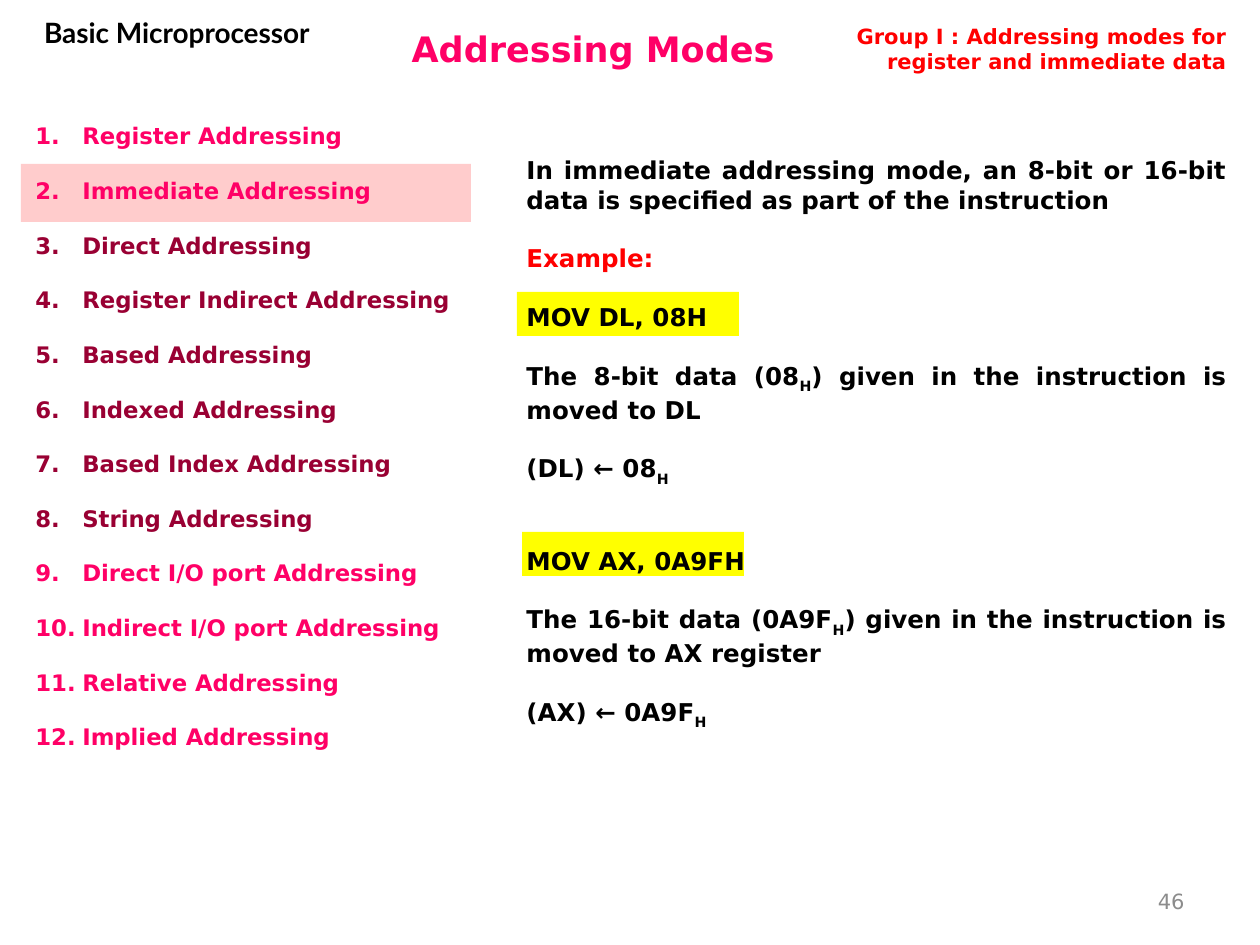
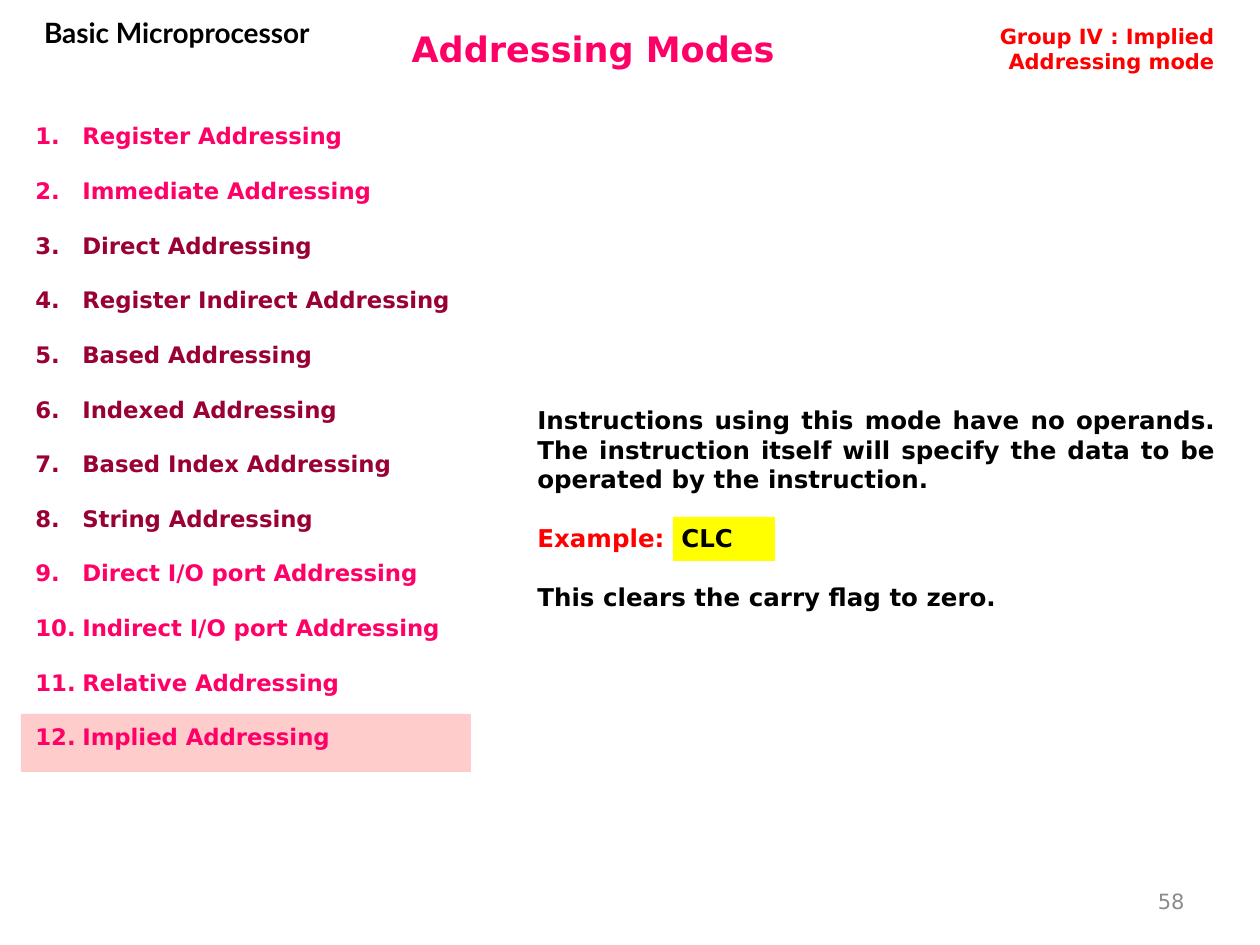
from lxml import etree
from pptx import Presentation
from pptx.dml.color import RGBColor
from pptx.enum.shapes import MSO_SHAPE
from pptx.enum.text import MSO_ANCHOR, MSO_AUTO_SIZE, PP_ALIGN
from pptx.oxml.ns import qn
from pptx.util import Pt

RECTANGLE = MSO_SHAPE.RECTANGLE
LEFT, CENTER, RIGHT, JUSTIFY = PP_ALIGN.LEFT, PP_ALIGN.CENTER, PP_ALIGN.RIGHT, PP_ALIGN.JUSTIFY
TOP, MIDDLE = MSO_ANCHOR.TOP, MSO_ANCHOR.MIDDLE
NO_AUTOFIT = MSO_AUTO_SIZE.NONE
TITLE_ONLY = 5
PX = 914400 / 126

COLORS = {
    "pink": "FF0066",
    "maroon": "990033",
    "red": "FF0000",
    "black": "000000",
    "gray": "8C8C8C",
    "yellow": "FFFF00",
    "band": "FFCCCC",
}
FONT, HEADER_FONT = "DejaVu Sans", "Lato"
LIST_GAP, BODY_GAP = 15.6, 16.8
LIST_INDENT = 47
EXAMPLE_TAB = 144
BAND_PITCH = 55

MODES = [
    ("Register Addressing", "pink"),
    ("Immediate Addressing", "pink"),
    ("Direct Addressing", "maroon"),
    ("Register Indirect Addressing", "maroon"),
    ("Based Addressing", "maroon"),
    ("Indexed Addressing", "maroon"),
    ("Based Index Addressing", "maroon"),
    ("String Addressing", "maroon"),
    ("Direct I/O port Addressing", "pink"),
    ("Indirect I/O port Addressing", "pink"),
    ("Relative Addressing", "pink"),
    ("Implied Addressing", "pink"),
]

SLIDES = [
    {
        "number": "46",
        "mode": 2,
        "group": "Group I : Addressing modes for register and immediate data",
        "group_box": (822, 17, 417, 63),
        "code_boxes": [(522, 532, 222, 44), (517, 292, 222, 44)],
        "body_box": (514, 149, 725, 640),
        "body": [
            (1, [("In immediate addressing mode, an 8-bit or 16-bit data is specified as part of the instruction", "black")]),
            (1, [("Example:", "red")]),
            (1, [("MOV DL, 08H", "black")]),
            (1, [("The 8-bit data (08", "black"), ("H", "black", True),
                 (") given in the instruction is moved to DL", "black")]),
            (1, [("(DL) ← 08", "black"), ("H", "black", True)]),
            (2, [("MOV AX, 0A9FH", "black")]),
            (1, [("The 16-bit data (0A9F", "black"), ("H", "black", True),
                 (") given in the instruction is moved to AX register", "black")]),
            (1, [("(AX) ← 0A9F", "black"), ("H", "black", True)]),
        ],
    },
    {
        "number": "58",
        "mode": 12,
        "group": "Group IV : Implied Addressing mode",
        "group_box": (912, 17, 315, 63),
        "code_boxes": [(673, 517, 102, 44)],
        "body_box": (525, 399, 703, 483),
        "body": [
            (1, [("Instructions using this mode have no operands. The instruction itself will specify "
                  "the data to be operated by the instruction.", "black")]),
            (1, [("Example:", "red"), ("\tCLC", "black")]),
            (1, [("This clears the carry flag to zero.", "black")]),
        ],
    },
]


def add_block(shape, box, color):
    shape.left, shape.top, shape.width, shape.height = [round(value * PX) for value in box]
    shape.shadow.inherit = False
    shape.fill.solid()
    shape.fill.fore_color.rgb = RGBColor.from_string(COLORS[color])
    shape.line.fill.background()


def write_text(shape, box, paragraphs, size, align=LEFT, anchor=TOP, gap=0, bold=True, font=FONT, numbered=False):
    shape.left, shape.top, shape.width, shape.height = [round(value * PX) for value in box]
    frame = shape.text_frame
    frame.word_wrap = True
    frame.auto_size = NO_AUTOFIT
    frame.vertical_anchor = anchor
    for index, (gaps, runs) in enumerate(paragraphs):
        paragraph = frame.add_paragraph() if index else frame.paragraphs[0]
        paragraph.alignment = align
        if index and gap:
            paragraph.space_before = Pt(gap * gaps)
        properties = paragraph._p.get_or_add_pPr()
        if numbered:
            properties.set("marL", str(round(LIST_INDENT * PX)))
            properties.set("indent", str(round(-LIST_INDENT * PX)))
            etree.SubElement(properties, qn("a:buFont"), typeface="+mj-lt")
            etree.SubElement(properties, qn("a:buAutoNum"), type="arabicPeriod")
        if any("\t" in run[0] for run in runs):
            tabs = etree.SubElement(properties, qn("a:tabLst"))
            etree.SubElement(tabs, qn("a:tab"), pos=str(round(EXAMPLE_TAB * PX)), algn="l")
        for text, color, *subscript in runs:
            run = paragraph.add_run()
            run.text = text
            run.font.name = font
            run.font.size = Pt(size)
            run.font.bold = bold
            run.font.color.rgb = RGBColor.from_string(COLORS[color])
            if subscript:
                run._r.get_or_add_rPr().set("baseline", "-25000")


presentation = Presentation()
presentation.slide_width = round(1260 * PX)
presentation.slide_height = round(945 * PX)

for content in SLIDES:
    slide = presentation.slides.add_slide(presentation.slide_layouts[TITLE_ONLY])
    shapes = slide.shapes

    for code_box in content["code_boxes"]:
        add_block(shapes.add_shape(RECTANGLE, 0, 0, 0, 0), code_box, "yellow")
    mode_box = (21, 164 + BAND_PITCH * (content["mode"] - 2), 450, 58)
    add_block(shapes.add_shape(RECTANGLE, 0, 0, 0, 0), mode_box, "band")

    write_text(shapes.title, (399, 15, 829, 67), [(0, [("Addressing Modes", "pink")])], 20, anchor=MIDDLE)
    write_text(shapes.add_textbox(0, 0, 0, 0), (903, 876, 294, 50),
               [(0, [(content["number"], "gray")])], 12, RIGHT, MIDDLE, bold=False)
    write_text(shapes.add_textbox(0, 0, 0, 0), (9, 9, 336, 81),
               [(0, [("Basic Microprocessor", "black")])], 16, CENTER, font=HEADER_FONT)
    write_text(shapes.add_textbox(0, 0, 0, 0), (23, 116, 449, 646),
               [(1, [mode]) for mode in MODES], 13, gap=LIST_GAP, numbered=True)
    write_text(shapes.add_textbox(0, 0, 0, 0), content["body_box"], content["body"], 14, JUSTIFY, gap=BODY_GAP)
    write_text(shapes.add_textbox(0, 0, 0, 0), content["group_box"],
               [(0, [(content["group"], "red")])], 12, RIGHT)

presentation.save("out.pptx")
